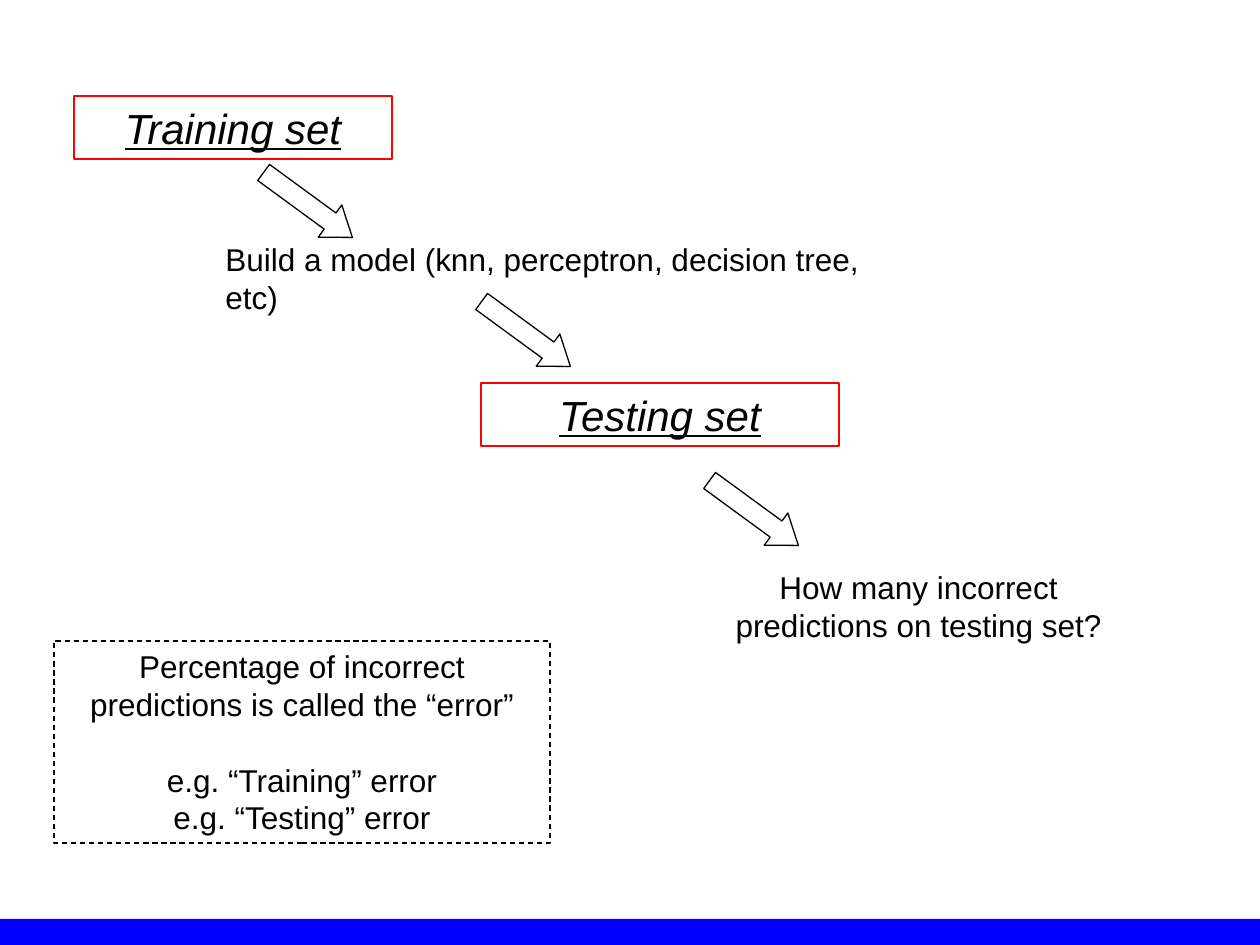
from pptx import Presentation
from pptx.dml.color import RGBColor
from pptx.enum.dml import MSO_LINE
from pptx.enum.shapes import MSO_SHAPE
from pptx.enum.text import MSO_ANCHOR, PP_ALIGN
from pptx.util import Pt

PX = 914400 // 126
BLACK = RGBColor(0, 0, 0)
WHITE = RGBColor(255, 255, 255)
RED = RGBColor(255, 0, 0)
BLUE = RGBColor(0, 0, 255)
LINE_FACTOR = 1.2

deck = Presentation()
deck.slide_width, deck.slide_height = 1260 * PX, 945 * PX
slide = deck.slides.add_slide(deck.slide_layouts[6])


def add_block(kind, box, fill=None, line=None, width=0.75):
    shape = slide.shapes.add_shape(kind, *(length * PX for length in box))
    shape.shadow.inherit = False
    if fill is None:
        shape.fill.background()
    else:
        shape.fill.solid()
        shape.fill.fore_color.rgb = fill
    if line is None:
        shape.line.fill.background()
    else:
        shape.line.color.rgb = line
        shape.line.width = Pt(width)
    return shape


def write(shape, text, size=18, heading=False, align=PP_ALIGN.CENTER, wrap=True):
    frame = shape.text_frame
    frame.text = text
    frame.word_wrap = wrap
    frame.vertical_anchor = MSO_ANCHOR.TOP
    for paragraph in frame.paragraphs:
        paragraph.alignment = align
        paragraph.line_spacing = Pt(size * LINE_FACTOR)
        for run in paragraph.runs:
            font = run.font
            font.name, font.size = "Arial", Pt(size)
            font.color.rgb = BLACK
            if heading:
                font.italic = font.underline = True


add_block(MSO_SHAPE.RECTANGLE, (0, 919, 1260, 26), fill=BLUE)

for name, box, width in (
    ("Training set", (74, 96, 318, 63), 1.5),
    ("Testing set", (481, 383, 358, 63), 1.25),
):
    dataset = add_block(MSO_SHAPE.RECTANGLE, box, line=RED, width=width)
    write(dataset, name, size=24, heading=True)

for step, box, align, wrap in (
    ("Build a model (knn, perceptron, decision tree, etc)",
     (213, 234, 719, 50), PP_ALIGN.LEFT, False),
    ("How many incorrect predictions on testing set?",
     (689, 562, 459, 88), PP_ALIGN.CENTER, True),
):
    step_box = slide.shapes.add_textbox(*(length * PX for length in box))
    write(step_box, step, align=align, wrap=wrap)

for left, top in ((253, 185), (471, 314), (699, 493)):
    arrow = add_block(MSO_SHAPE.RIGHT_ARROW, (left, top, 110, 40), WHITE, BLACK)
    arrow.adjustments[0], arrow.adjustments[1] = 0.5, 0.69
    arrow.rotation = 36.2

error_note = add_block(MSO_SHAPE.RECTANGLE, (54, 641, 496, 202), line=BLACK)
error_note.line.dash_style = MSO_LINE.DASH
write(error_note, "Percentage of incorrect predictions is called the “error”\n"
                  "e.g. “Training” error\ne.g. “Testing” error")
error_note.text_frame.paragraphs[1].space_before = Pt(18 * LINE_FACTOR)

deck.save("out.pptx")
